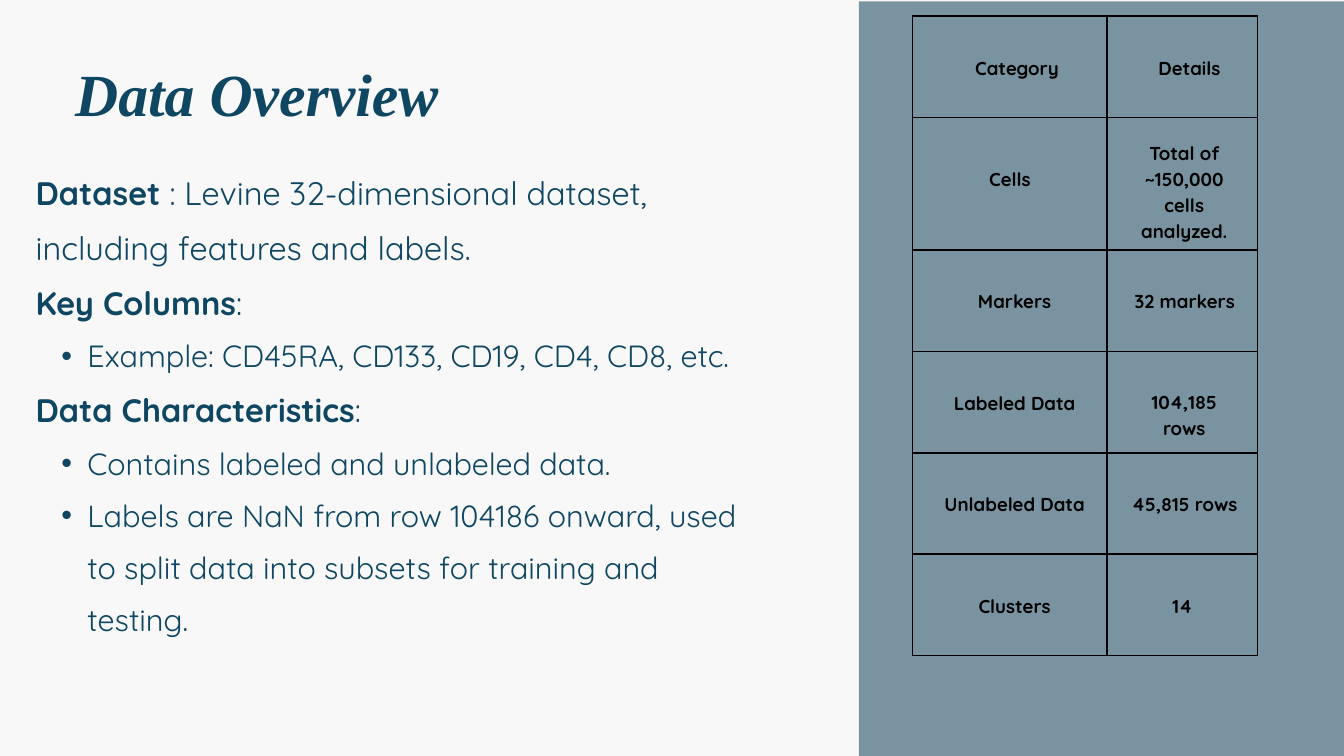
from lxml.etree import SubElement
from pptx import Presentation
from pptx.dml.color import RGBColor
from pptx.enum.shapes import MSO_SHAPE
from pptx.enum.text import MSO_ANCHOR, PP_ALIGN
from pptx.oxml.ns import qn
from pptx.util import Pt

NAVY = RGBColor(0x0F, 0x46, 0x62)
SLATE = RGBColor(0x79, 0x94, 0xA0)
PAPER = RGBColor(0xF8, 0xF8, 0xF8)
BLACK = RGBColor(0, 0, 0)


def add_run(p, text, size, color, bold=False, font="Quicksand"):
    r = p.add_run()
    r.text = text
    r.font.name = font
    r.font.size = Pt(size)
    r.font.bold = bold
    r.font.color.rgb = color
    return r


def add_text_box(s, left, top, width, height):
    """Add a wrapping text box without insets and return its text frame."""
    tf = s.shapes.add_textbox(Pt(left), Pt(top), Pt(width), Pt(height)).text_frame
    tf.word_wrap = True
    tf.margin_left = tf.margin_top = tf.margin_right = tf.margin_bottom = 0
    return tf


prs = Presentation()
prs.slide_width, prs.slide_height = Pt(1440), Pt(810)
s = prs.slides.add_slide(prs.slide_layouts[6])
s.background.fill.solid()
s.background.fill.fore_color.rgb = PAPER

# Side panel
panel = s.shapes.add_shape(MSO_SHAPE.RECTANGLE, Pt(920.2), Pt(1.4), Pt(519.8), Pt(808.6))
panel.shadow.inherit = False
panel.fill.solid()
panel.fill.fore_color.rgb = SLATE
panel.line.fill.background()

# Table: each cell has its lines and its left, top, right and bottom margins
INSET = (15, 15, 15, 15)
HEADER = (30, 15, 15, 15)
LABEL = (25, 15, 15, 15)
VALUE = (20, 15, 15, 15)
ROWS = [
    ((["Category"], HEADER), (["Details"], HEADER)),
    ((["Cells"], (15, 0, 15, 12)),
     (["Total of ~150,000 cells", "analyzed."], (22, 16, 18, 0))),
    ((["Markers"], LABEL), (["32 markers"], VALUE)),
    ((["Labeled Data"], LABEL), (["104,185 rows"], (32, 28, 28, 2))),
    ((["Unlabeled Data"], LABEL), (["45,815 rows"], VALUE)),
    ((["Clusters"], LABEL), (["14"], INSET)),
]
COL_WIDTHS = [208.6, 161]
ROW_HEIGHTS = [108.7, 141.8] + [108.7] * 4

frame = s.shapes.add_table(len(ROWS), len(COL_WIDTHS), Pt(977.8), Pt(17.3),
                           Pt(sum(COL_WIDTHS)), Pt(sum(ROW_HEIGHTS)))
table = frame.table
table.first_row = table.horz_banding = False
for column, width in zip(table.columns, COL_WIDTHS):
    column.width = Pt(width)
for row, height, contents in zip(table.rows, ROW_HEIGHTS, ROWS):
    row.height = Pt(height)
    for cell, (lines, margins) in zip(row.cells, contents):
        cell.vertical_anchor = MSO_ANCHOR.MIDDLE
        (cell.margin_left, cell.margin_top,
         cell.margin_right, cell.margin_bottom) = map(Pt, margins)
        tf = cell.text_frame
        for i, line in enumerate(lines):
            p = tf.add_paragraph() if i else tf.paragraphs[0]
            p.alignment = PP_ALIGN.CENTER
            p.line_spacing = Pt(28)
            add_run(p, line, 20, BLACK, bold=True)
        tcPr = cell._tc.get_or_add_tcPr()
        for side in ("a:lnL", "a:lnR", "a:lnT", "a:lnB"):
            ln = SubElement(tcPr, qn(side), w=str(Pt(2)))
            fill = SubElement(ln, qn("a:solidFill"))
            SubElement(fill, qn("a:srgbClr"), val=str(BLACK))
        cell.fill.background()

# Title
p = add_text_box(s, 80.6, 47.5, 739.4, 85.7).paragraphs[0]
p.line_spacing = Pt(89.6)
add_run(p, "Data Overview", 64, NAVY, bold=True, font="Times New Roman").font.italic = True

# Body: a bold lead marks a heading, no lead marks a bullet
BODY = [
    ("Dataset ", ": Levine 32-dimensional dataset, including features and labels."),
    ("Key Columns", ":"),
    ("", "Example: CD45RA, CD133, CD19, CD4, CD8, etc."),
    ("Data Characteristics", ":"),
    ("", "Contains labeled and unlabeled data."),
    ("", "Labels are NaN from row 104186 onward, used to split data into "
         "subsets for training and testing."),
]
tf = add_text_box(s, 38.2, 167.8, 766, 520)
for i, (lead, text) in enumerate(BODY):
    p = tf.add_paragraph() if i else tf.paragraphs[0]
    if lead:
        p.line_spacing = Pt(59.1)
        add_run(p, lead, 34.8, NAVY, bold=True)
        add_run(p, text, 34.8, NAVY)
    else:
        p.level = 1
        p.line_spacing = Pt(55.7)
        pPr = p._p.get_or_add_pPr()
        pPr.set("marL", str(Pt(55.5)))
        pPr.set("indent", str(-Pt(28)))
        SubElement(pPr, qn("a:buFont"), typeface="Arial")
        SubElement(pPr, qn("a:buChar"), char="•")
        add_run(p, text, 32.8, NAVY)

prs.save("out.pptx")
